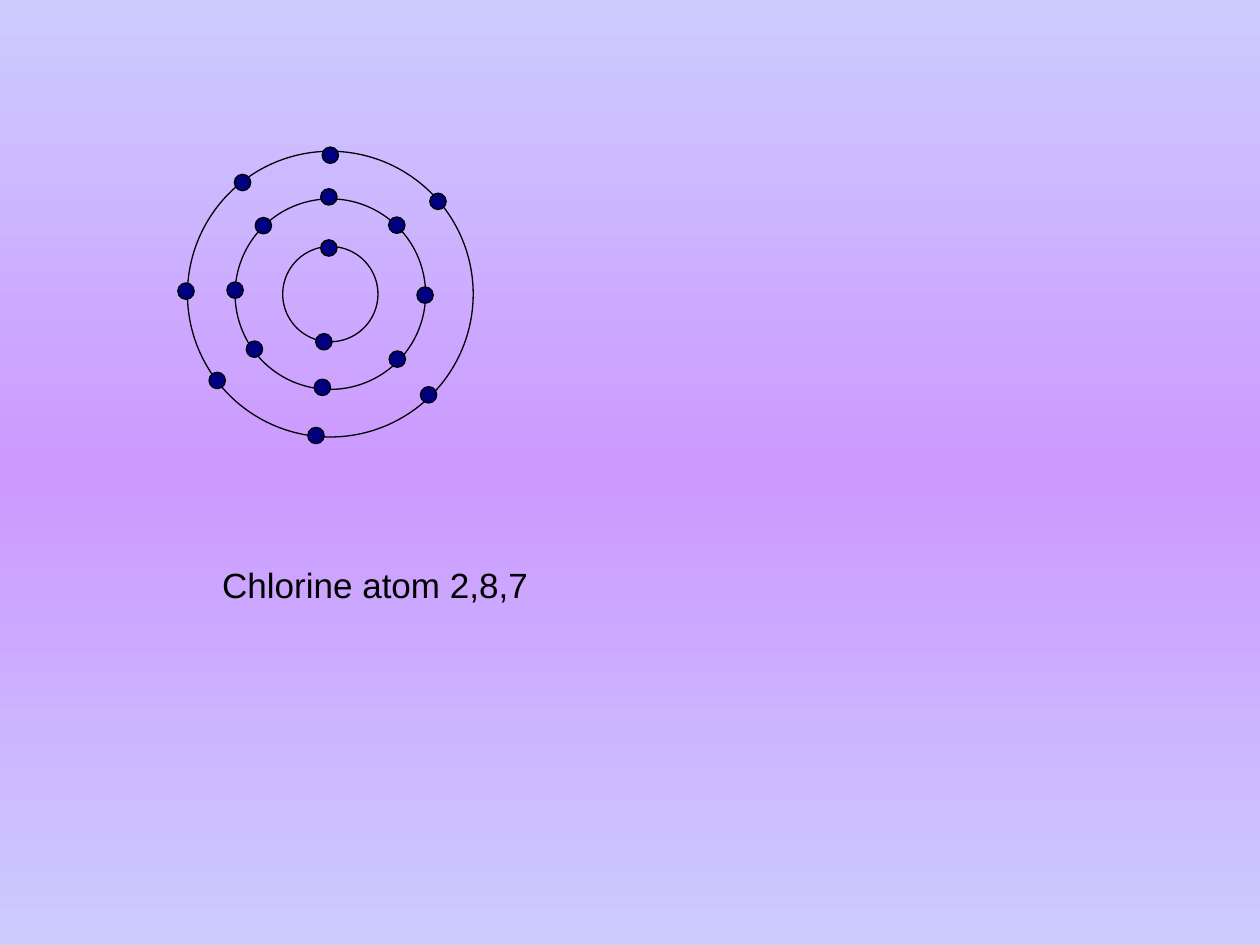
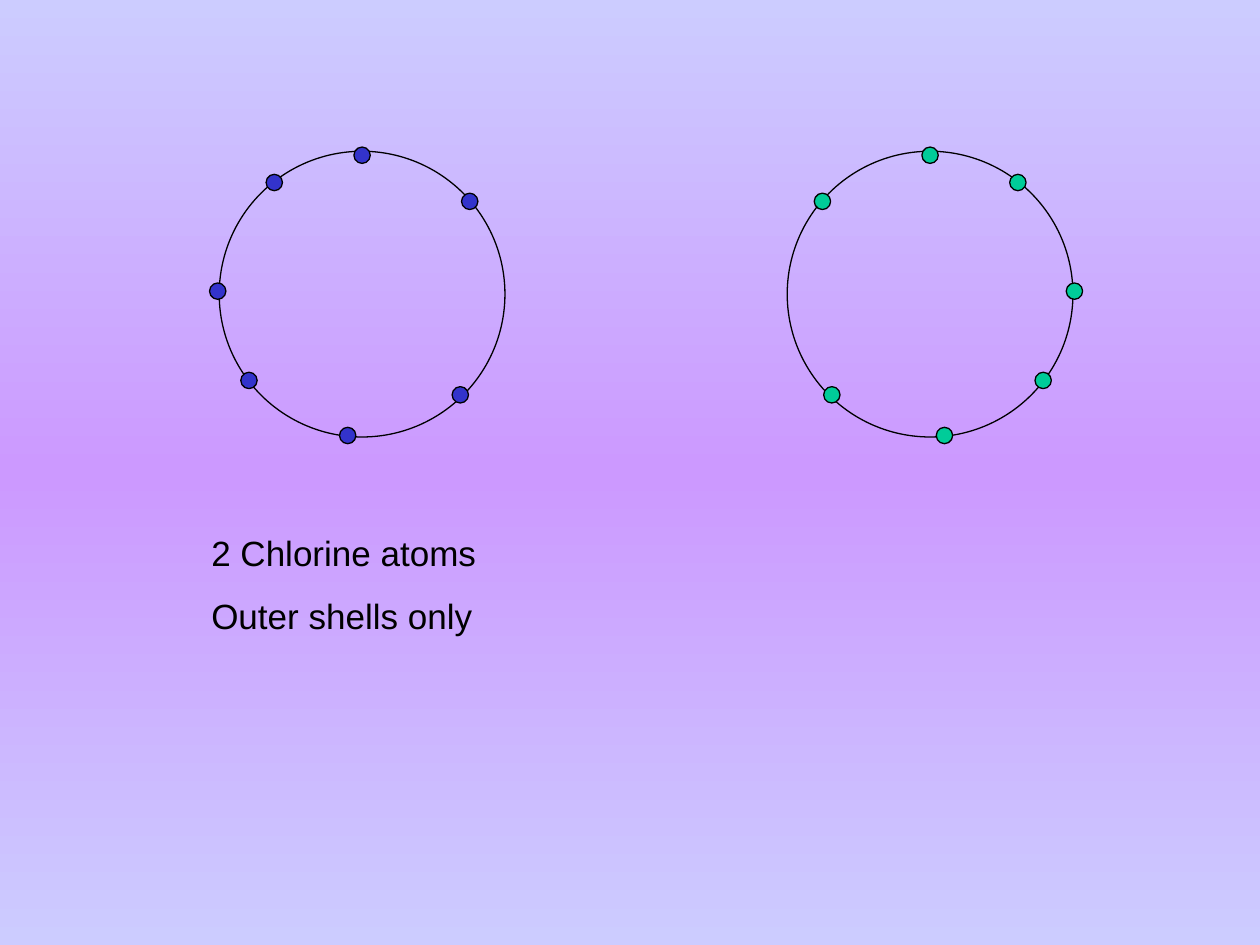
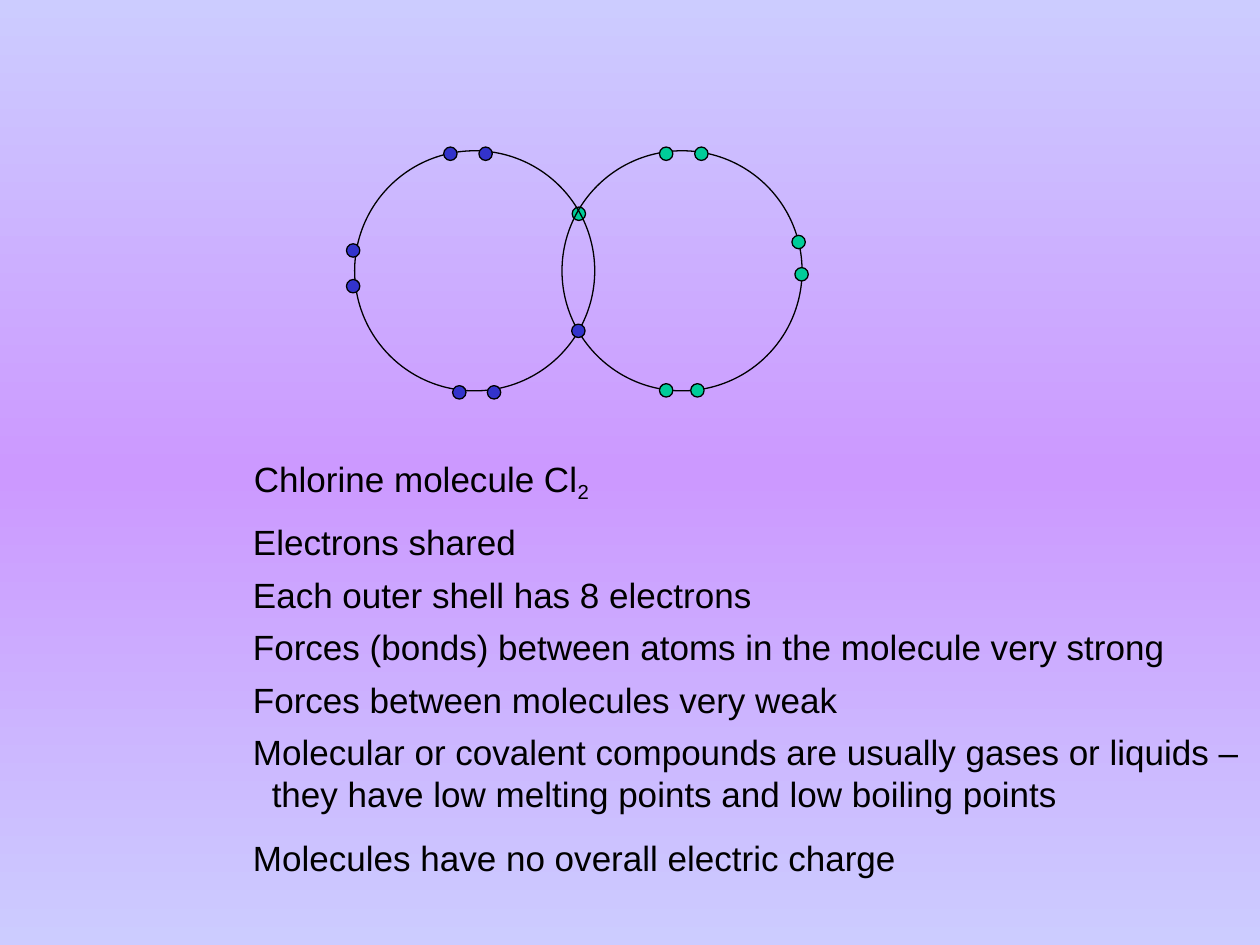
from copy import deepcopy
from dataclasses import dataclass

from pptx import Presentation
from pptx.dml.color import RGBColor
from pptx.enum.shapes import MSO_SHAPE
from pptx.enum.text import MSO_AUTO_SIZE
from pptx.util import Cm, Pt

OVAL = MSO_SHAPE.OVAL
GROW = MSO_AUTO_SIZE.SHAPE_TO_FIT_TEXT


@dataclass(frozen=True)
class Theme:
    edge: RGBColor = RGBColor(0xCC, 0xCC, 0xFF)
    middle: RGBColor = RGBColor(0xCC, 0x99, 0xFF)
    ink: RGBColor = RGBColor(0, 0, 0)
    navy: RGBColor = RGBColor(0, 0, 0x80)
    blue: RGBColor = RGBColor(0x33, 0x33, 0xCC)
    green: RGBColor = RGBColor(0, 0xCC, 0x99)
    font: str = "Arial"
    text_size: Pt = Pt(20)
    space_before: Pt = Pt(12.5)
    line_width: Pt = Pt(0.75)


theme = Theme()


def add_atom(page, center, shells, electrons, color, electron_size=0.33):
    """Draw shells (diameters) and electrons (offsets from the center), in cm."""
    group = page.shapes.add_group_shape()
    circles = [(0, 0, size, None) for size in shells]
    circles += [(dx, dy, electron_size, color) for dx, dy in electrons]
    for dx, dy, size, fill in circles:
        left, top = center[0] + dx - size / 2, center[1] + dy - size / 2
        circle = group.shapes.add_shape(OVAL, Cm(left), Cm(top), Cm(size), Cm(size))
        circle.shadow.inherit = False
        circle.line.color.rgb = theme.ink
        circle.line.width = theme.line_width
        if fill is None:
            circle.fill.background()
        else:
            circle.fill.solid()
            circle.fill.fore_color.rgb = fill


def add_caption(page, left, top, width, height, *lines):
    """Add one paragraph per line; what follows an underscore is subscript."""
    box = page.shapes.add_textbox(Cm(left), Cm(top), Cm(width), Cm(height))
    frame = box.text_frame
    frame.word_wrap = True
    frame.auto_size = GROW
    for number, line in enumerate(lines):
        para = frame.add_paragraph() if number else frame.paragraphs[0]
        base, _, subscript = line.partition("_")
        para.text = base
        if number:
            para.space_before = theme.space_before
        # Continuation lines hang slightly to the right
        properties = para._p.get_or_add_pPr()
        properties.set("marL", str(Cm(0.38)))
        properties.set("indent", str(-Cm(0.38)))
        if subscript:
            span = para.add_run()
            span.text = subscript
            span._r.get_or_add_rPr().set("baseline", "-20000")
        for span in para.runs:
            span.font.name = theme.font
            span.font.size = theme.text_size
            span.font.color.rgb = theme.ink


deck = Presentation()
deck.slide_width, deck.slide_height = Cm(25.4), Cm(19.05)
blank = deck.slide_layouts[6]

# Shared background: vertical gradient, darker in the middle
fill = deck.slide_master.background.fill
fill.gradient()
fill.gradient_angle = 90
first_stop = deck.slide_master.element.xpath("./p:cSld/p:bg//a:gs")[0]
first_stop.addnext(deepcopy(first_stop))
for stop, position, color in zip(
    fill.gradient_stops, (0, 0.5, 1), (theme.edge, theme.middle, theme.edge)
):
    stop.position = position
    stop.color.rgb = color

# Electron offsets for each shell of a chlorine atom
inner_shell = [(-0.03, -0.93), (-0.13, 0.96)]
middle_shell = [
    (-0.03, -1.96), (-1.35, -1.38), (-1.92, -0.08), (-1.53, 1.11),
    (-0.16, 1.88), (1.35, 1.31), (1.91, 0.02), (1.34, -1.39),
]
outer_shell = [
    (0, -2.8), (-1.77, -2.25), (-2.91, -0.06), (-2.28, 1.74),
    (-0.29, 2.85), (1.98, 2.03), (2.17, -1.87),
]
shell_step = 1.92
shells = [shell_step * number for number in (1, 2, 3)]

# Slide 1: whole atom
page = deck.slides.add_slide(blank)
add_atom(page, (6.66, 5.93), shells, inner_shell + middle_shell + outer_shell, theme.navy)
add_caption(page, 4.23, 11.23, 13.97, 1.12, "Chlorine atom 2,8,7")

# Slide 2: two outer shells, the right one mirrored
page = deck.slides.add_slide(blank)
for center_x, side, color in ((18.75, -1, theme.green), (7.3, 1, theme.blue)):
    electrons = [(side * dx, dy) for dx, dy in outer_shell]
    add_atom(page, (center_x, 5.93), shells[-1:], electrons, color)
add_caption(page, 4.01, 10.58, 16.51, 2.39, "2 Chlorine atoms", "Outer shells only")

# Slide 3: molecule; the green shared electron lies beneath both shells
page = deck.slides.add_slide(blank)
left_center, right_center = (9.57, 5.46), (13.75, 5.46)
left_electrons = [
    (-0.49, -2.36), (0.22, -2.36), (-2.45, -0.41), (-2.45, 0.31),
    (-0.31, 2.45), (0.39, 2.45), (2.09, 1.21),
]
right_electrons = [
    (-0.32, -2.36), (0.39, -2.36), (2.35, -0.58),
    (2.41, 0.07), (0.31, 2.41), (-0.32, 2.41),
]
for center, rings, electrons, color in (
    (right_center, [], [(-2.08, -1.15)], theme.green),
    (right_center, [4.84], right_electrons, theme.green),
    (left_center, [4.84], left_electrons, theme.blue),
):
    add_atom(page, center, rings, electrons, color, electron_size=0.27)

add_caption(page, 4.87, 9.09, 7.62, 1.19, "Chlorine molecule Cl_2")
statements = [
    "Electrons shared",
    "Each outer shell has 8 electrons",
    "Forces (bonds) between atoms in the molecule very strong",
    "Forces between molecules very weak",
    "Molecular or covalent compounds are usually gases or liquids –\v"
    "they have low melting points and low boiling points",
    "Molecules have no overall electric charge",
]
row_top, row_step = 10.37, 1.06
for statement in statements:
    rows = 1 + statement.count("\v")
    add_caption(page, 4.85, row_top, 20.57, 0.27 + 0.85 * rows, statement)
    row_top += row_step * rows

deck.save("out.pptx")
